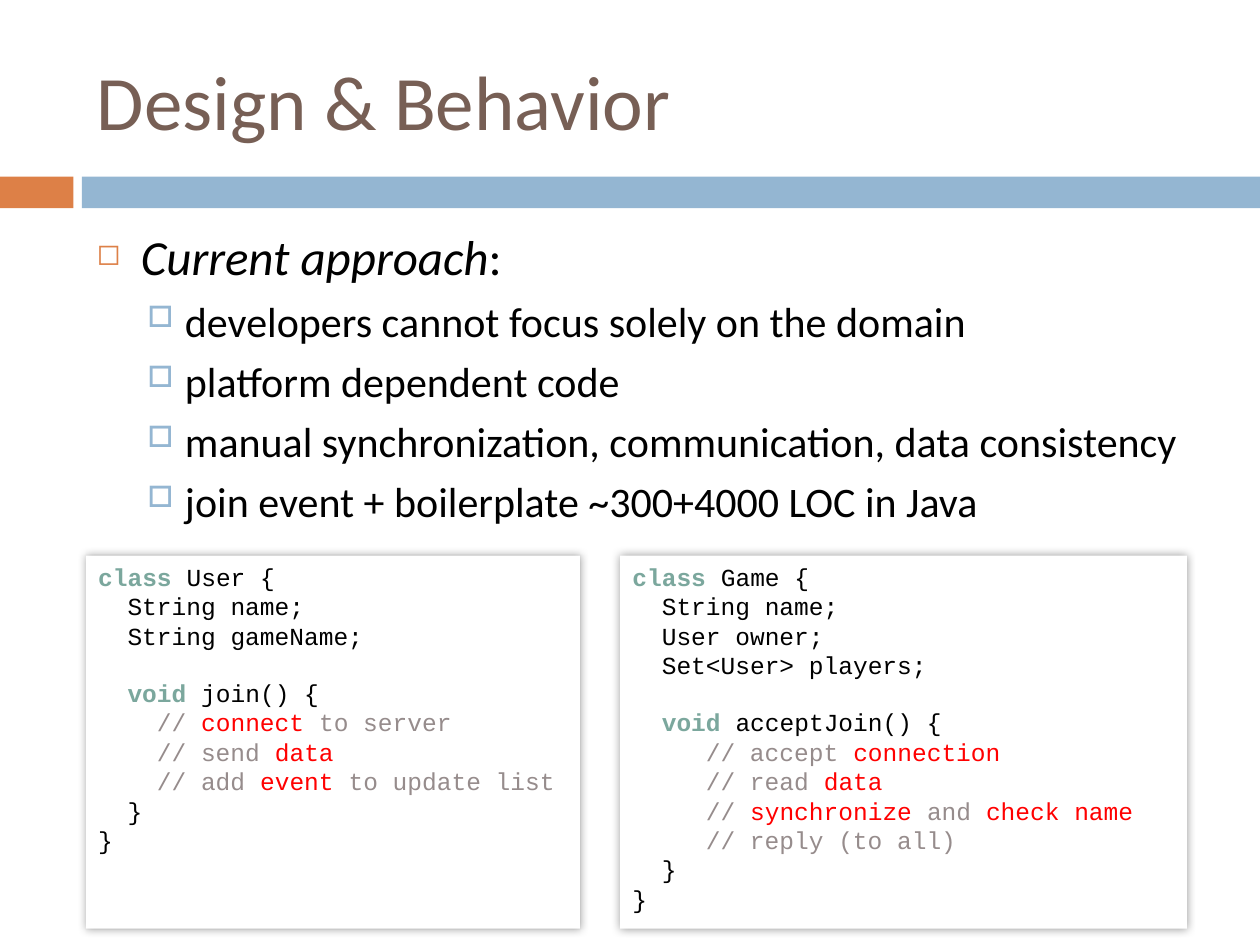
from lxml.etree import SubElement
from pptx import Presentation
from pptx.dml.color import RGBColor
from pptx.enum.shapes import MSO_SHAPE
from pptx.enum.text import MSO_ANCHOR, PP_ALIGN
from pptx.oxml.ns import qn
from pptx.util import Cm, Pt

ORANGE = RGBColor(0xDD, 0x80, 0x47)
BLUE = RGBColor(0x94, 0xB6, 0xD2)
BROWN = RGBColor(0x77, 0x5F, 0x55)
GREEN = RGBColor(0x7B, 0xA7, 0x9D)
GREY = RGBColor(0x96, 0x8C, 0x8C)
RED = RGBColor(0xFF, 0, 0)
BLACK = RGBColor(0, 0, 0)
WHITE = RGBColor(0xFF, 0xFF, 0xFF)

CHAR = 0.296  # width in cm of one 14 pt Courier New character


def add_run(p, text, color, **formats):
    r = p.add_run()
    r.text = text
    r.font.color.rgb = color
    for name, value in formats.items():
        setattr(r.font, name, value)


def add_box(s, left, top, width, height, fill):
    sp = s.shapes.add_shape(MSO_SHAPE.RECTANGLE, Cm(left), Cm(top), Cm(width), Cm(height))
    sp.shadow.inherit = False
    sp.fill.solid()
    sp.fill.fore_color.rgb = fill
    sp.line.fill.background()
    return sp


prs = Presentation()
prs.slide_width, prs.slide_height = Cm(25.4), Cm(19.05)
s = prs.slides.add_slide(prs.slide_layouts[5])

# Divider bars
add_box(s, 0, 3.56, 1.48, 0.64, ORANGE)
add_box(s, 1.65, 3.56, 23.75, 0.64, BLUE)

# Title
title = s.shapes.title
title.left, title.top, title.width, title.height = Cm(1.7), Cm(0.64), Cm(22.66), Cm(2.74)
tf = title.text_frame
tf.vertical_anchor = MSO_ANCHOR.MIDDLE
p = tf.paragraphs[0]
p.alignment = PP_ALIGN.LEFT
add_run(p, "Design & Behavior", BROWN, size=Pt(44), name="Calibri")

# Bullet list: level, runs of (text, italic)
bullets = [
    (0, [("Current approach", True), (":", False)]),
    (1, [("developers cannot focus solely on the domain", False)]),
    (1, [("platform dependent code", False)]),
    (1, [("manual synchronization, communication, data consistency", False)]),
    (1, [("join event + boilerplate ~300+4000 LOC in Java", False)]),
]
# Per level: size, space before, left margin, hanging indent, bullet, colour, bullet size
levels = [
    (28, 7, 0.89, 0.89, "◻", ORANGE, 60),
    (24, 5.5, 1.78, 0.76, "□", BLUE, 70),
]
tf = s.shapes.add_textbox(Cm(1.7), Cm(4.45), Cm(23.27), Cm(7.82)).text_frame
tf.word_wrap = True
for i, (level, runs) in enumerate(bullets):
    size, before, margin, hang, char, color, percent = levels[level]
    p = tf.paragraphs[0] if i == 0 else tf.add_paragraph()
    p.level = level
    p.space_before = Pt(before)
    pPr = p._p.get_or_add_pPr()
    pPr.set("marL", str(Cm(margin)))
    pPr.set("indent", str(-Cm(hang)))
    SubElement(SubElement(pPr, qn("a:buClr")), qn("a:srgbClr"), val=str(color))
    SubElement(pPr, qn("a:buSzPct"), val=str(percent * 1000))
    SubElement(pPr, qn("a:buChar"), char=char)
    for text, italic in runs:
        add_run(p, text, BLACK, size=Pt(size), name="Calibri", italic=italic)

# Code lines: indent in characters, gap above in points, runs of (text, colour)
user_code = [
    (0, 0, [("class ", GREEN), ("User {", BLACK)]),
    (2, 0, [("String name;", BLACK)]),
    (2, 0, [("String gameName;", BLACK)]),
    (2, 16, [("void", GREEN), (" join() {", BLACK)]),
    (4, 0, [("// ", GREY), ("connect ", RED), ("to server", GREY)]),
    (4, 0, [("// send ", GREY), ("data", RED)]),
    (4, 0, [("// add ", GREY), ("event ", RED), ("to update list", GREY)]),
    (2, 0, [("}", BLACK)]),
    (0, 0, [("}", BLACK)]),
]
game_code = [
    (0, 0, [("class ", GREEN), ("Game {", BLACK)]),
    (2, 0, [("String name;", BLACK)]),
    (2, 0, [("User owner;", BLACK)]),
    (2, 0, [("Set<User> players;", BLACK)]),
    (2, 16, [("void ", GREEN), ("acceptJoin() {", BLACK)]),
    (5, 0, [("// accept ", GREY), ("connection", RED)]),
    (5, 0, [("// read ", GREY), ("data", RED)]),
    (5, 0, [("// ", GREY), ("synchronize ", RED), ("and ", GREY), ("check name", RED)]),
    (5, 0, [("// reply (to all)", GREY)]),
    (2, 0, [("}", BLACK)]),
    (0, 0, [("}", BLACK)]),
]

# Code panels with a soft shadow
for left, width, code in [(1.73, 9.96, user_code), (12.5, 11.43, game_code)]:
    sp = add_box(s, left, 11.2, width, 7.52, WHITE)
    effects = sp._element.spPr.find(qn("a:effectLst"))
    shadow = SubElement(effects, qn("a:outerShdw"), blurRad=str(Pt(5)), dist="0", dir="0")
    color = SubElement(shadow, qn("a:srgbClr"), val=str(BLACK))
    SubElement(color, qn("a:alpha"), val="40000")
    tf = sp.text_frame
    tf.word_wrap = True
    tf.vertical_anchor = MSO_ANCHOR.TOP
    for i, (indent, gap, runs) in enumerate(code):
        p = tf.paragraphs[0] if i == 0 else tf.add_paragraph()
        p.alignment = PP_ALIGN.LEFT
        p.space_before = Pt(gap)
        p._p.get_or_add_pPr().set("marL", str(Cm(indent * CHAR)))
        for text, color in runs:
            add_run(p, text, color, size=Pt(14), name="Courier New", bold=color == GREEN)

prs.save("out.pptx")
